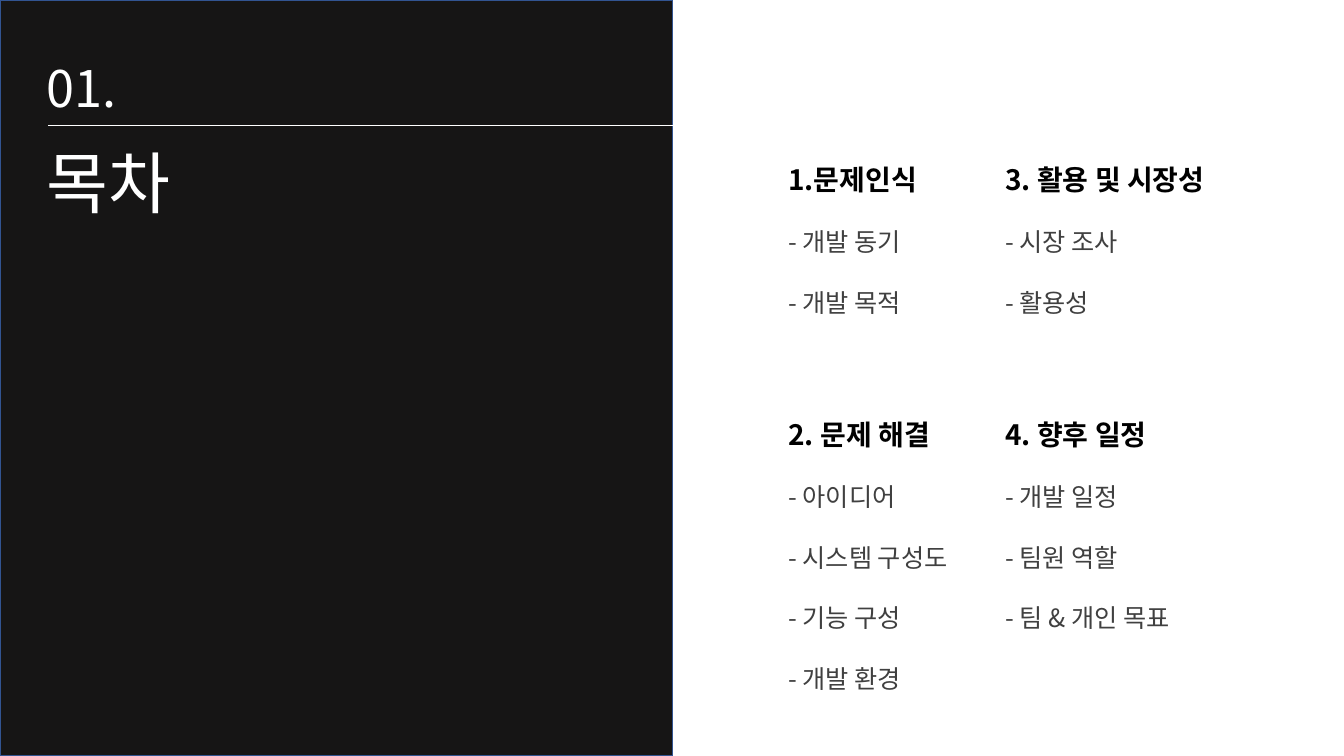
from lxml.etree import SubElement
from pptx import Presentation
from pptx.dml.color import RGBColor
from pptx.enum.shapes import MSO_CONNECTOR, MSO_SHAPE
from pptx.enum.text import MSO_ANCHOR, MSO_AUTO_SIZE, PP_ALIGN
from pptx.oxml.ns import qn
from pptx.util import Pt

FONT = "Noto Sans CJK KR"
COLORS = {"panel": "161515", "edge": "325491", "white": "FFFFFF",
          "head": "000000", "item": "404040"}
WIDE, HIGH, HALF = 1333, 750, 667
NUMBER, TITLE = "01.", "목차"
COLS, ROWS = (772, 987), (123, 376)
# column, row, width, height, heading, items
TOPICS = [
    (0, 0, 190, 312, "1.문제인식", ["개발 동기", "개발 목적"]),
    (1, 0, 255, 190, "3. 활용 및 시장성", ["시장 조사", "활용성"]),
    (1, 1, 366, 251, "4. 향후 일정", ["개발 일정", "팀원 역할", "팀 & 개인 목표"]),
    (0, 1, 215, 312, "2. 문제 해결",
     ["아이디어", "시스템 구성도", "기능 구성", "개발 환경"]),
]


def px(*sizes):
    """Turn px, 100 to the inch, into EMU."""
    return [size * 9144 for size in sizes]


def color(name):
    return RGBColor.from_string(COLORS[name])


def write(para, text, size, tint, bold=False, space=1.0):
    para.alignment = PP_ALIGN.LEFT
    para.line_spacing = space
    run = para.add_run()
    run.text = text
    font = run.font
    font.size, font.bold, font.name = Pt(size), bold, FONT
    font.color.rgb = color(tint)
    SubElement(font._element, qn("a:ea")).set("typeface", FONT)


def place(shape, left, top, width, height):
    shape.left, shape.top, shape.width, shape.height = px(left, top, width, height)
    frame = shape.text_frame
    frame.word_wrap = True
    frame.auto_size = MSO_AUTO_SIZE.SHAPE_TO_FIT_TEXT
    frame.vertical_anchor = MSO_ANCHOR.TOP
    return frame


def add_box(shapes, *area):
    return place(shapes.add_textbox(*px(*area)), *area)


def main():
    deck = Presentation()
    deck.slide_width, deck.slide_height = px(WIDE, HIGH)
    slide = deck.slides.add_slide(deck.slide_layouts[5])
    shapes = slide.shapes

    panel = shapes.add_shape(MSO_SHAPE.RECTANGLE, *px(0, 0, HALF, HIGH))
    panel.shadow.inherit = False
    panel.fill.solid()
    panel.fill.fore_color.rgb = color("panel")
    panel.line.color.rgb = color("edge")
    panel.line.width = Pt(1)

    title = shapes.title
    panel._element.addnext(title._element)  # title in front of the panel
    frame = place(title, 36, 135, 152, 91)
    write(frame.paragraphs[0], TITLE, 48, "white")

    frame = add_box(shapes, 36, 52, 98, 71)
    write(frame.paragraphs[0], NUMBER, 36, "white")

    rule = shapes.add_connector(MSO_CONNECTOR.STRAIGHT, *px(48, 124, 677, 124))
    rule.line.color.rgb = color("white")
    rule.line.width = Pt(0.25)
    SubElement(rule._element.spPr, qn("a:effectLst"))

    for col, row, width, height, head, items in TOPICS:
        frame = add_box(shapes, COLS[col], ROWS[row], width, height)
        write(frame.paragraphs[0], head, 20, "head", bold=True, space=2.0)
        for item in items:
            write(frame.add_paragraph(), f"- {item}", 18, "item", space=2.0)

    deck.save("out.pptx")


if __name__ == "__main__":
    main()
